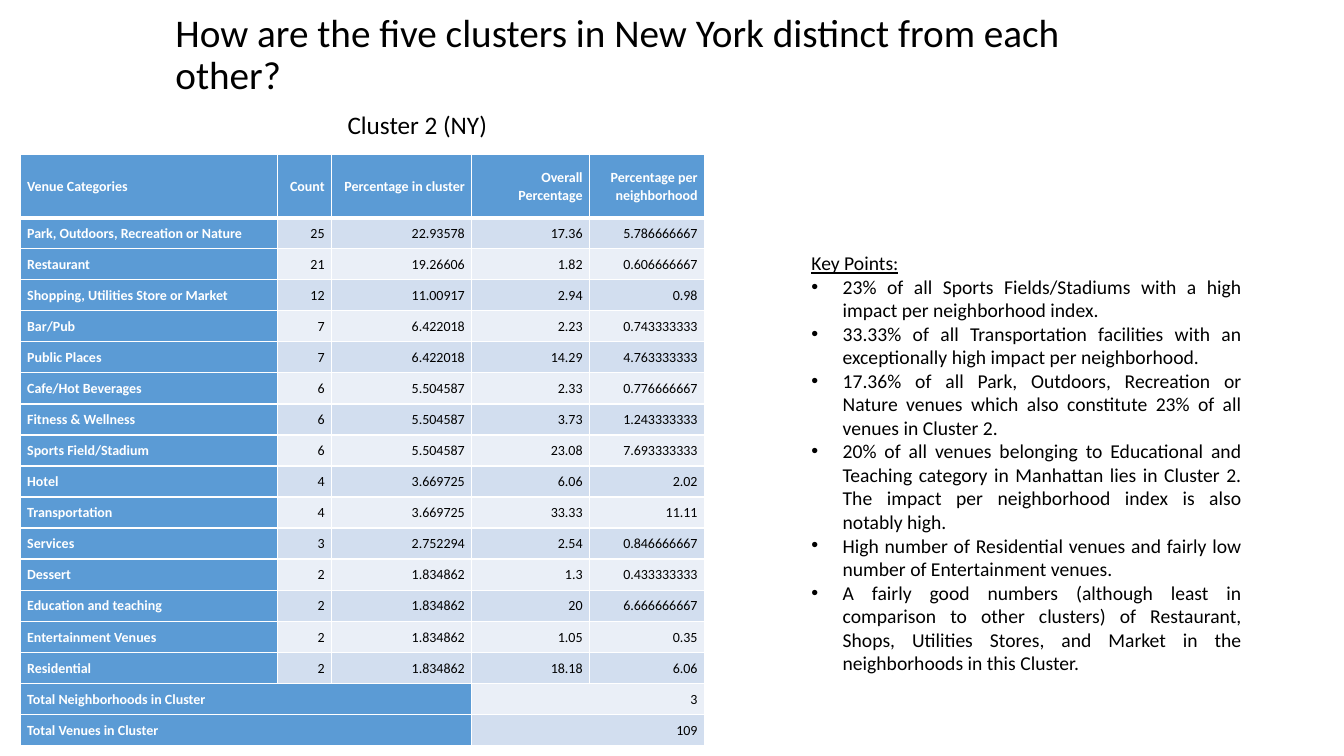
"""Build the slide on venue categories in New York's Cluster 2."""
from lxml.etree import SubElement
from pptx import Presentation
from pptx.dml.color import RGBColor
from pptx.enum.text import MSO_ANCHOR as ANCHOR, MSO_AUTO_SIZE as FIT, PP_ALIGN as ALIGN
from pptx.oxml.ns import qn
from pptx.util import Emu, Inches, Pt

TITLE = "How are the five clusters in New York distinct from each other?"
SUBTITLE = "Cluster 2 (NY)"
HEADER = ["Venue Categories", "Count", "Percentage in cluster",
          "Overall Percentage", "Percentage per neighborhood"]
VENUES = [
    ("Park, Outdoors, Recreation or Nature", "25", "22.93578", "17.36", "5.786666667"),
    ("Restaurant", "21", "19.26606", "1.82", "0.606666667"),
    ("Shopping, Utilities Store or Market", "12", "11.00917", "2.94", "0.98"),
    ("Bar/Pub", "7", "6.422018", "2.23", "0.743333333"),
    ("Public Places", "7", "6.422018", "14.29", "4.763333333"),
    ("Cafe/Hot Beverages", "6", "5.504587", "2.33", "0.776666667"),
    ("Fitness & Wellness", "6", "5.504587", "3.73", "1.243333333"),
    ("Sports Field/Stadium", "6", "5.504587", "23.08", "7.693333333"),
    ("Hotel", "4", "3.669725", "6.06", "2.02"),
    ("Transportation", "4", "3.669725", "33.33", "11.11"),
    ("Services", "3", "2.752294", "2.54", "0.846666667"),
    ("Dessert", "2", "1.834862", "1.3", "0.433333333"),
    ("Education and teaching", "2", "1.834862", "20", "6.666666667"),
    ("Entertainment Venues", "2", "1.834862", "1.05", "0.35"),
    ("Residential", "2", "1.834862", "18.18", "6.06"),
]
TOTALS = [("Total Neighborhoods in Cluster", "3"), ("Total Venues in Cluster", "109")]
KEY_HEADING = "Key Points:"
KEY_POINTS = [
    "23% of all Sports Fields/Stadiums with a high impact per neighborhood index.",
    "33.33% of all Transportation facilities with an exceptionally high impact per neighborhood.",
    "17.36% of all Park, Outdoors, Recreation or Nature venues which also constitute 23% of all "
    "venues in Cluster 2.",
    "20% of all venues belonging to Educational and Teaching category in Manhattan lies in "
    "Cluster 2. The impact per neighborhood index is also notably high.",
    "High number of Residential venues and fairly low number of Entertainment venues.",
    "A fairly good numbers (although least in comparison to other clusters) of Restaurant, Shops, "
    "Utilities Stores, and Market in the neighborhoods in this Cluster.",
]
COLORS = {"text": "000000", "white": "FFFFFF", "head": "5B9BD5",
          "odd": "D2DEEF", "even": "EAEFF7"}
BOXES = {"title": (1.64, 0.27, 10.06, 0.57), "table": (0.2, 1.53, 6.79, 5.87),
         "subtitle": (3.35, 1.04, 1.6, 0.4), "points": (7.45, 2.44, 4.97, 4.64)}
COL_WIDTHS = [2.55, 0.54, 1.39, 1.17, 1.14]
HEADER_HEIGHT = 0.63
CELL_FORMAT = {"vertical_anchor": ANCHOR.MIDDLE, "margin_left": Inches(0.07),
               "margin_right": Inches(0.07), "margin_top": 0, "margin_bottom": 0}


def apply(target, values):
    for name, value in values.items():
        setattr(target, name, value)


def box(name):
    return [Inches(v) for v in BOXES[name]]


def place(sp, name):
    apply(sp, dict(zip(("left", "top", "width", "height"), box(name))))


def write(p, text, size, color="text", para=None, **font):
    apply(p, para or {})
    r = p.add_run()
    r.text = text
    apply(r.font, {"size": Pt(size), "name": "Calibri", **font})
    r.font.color.rgb = RGBColor.from_string(COLORS[color])


def border(cell, side, points):
    ln = SubElement(cell._tc.get_or_add_tcPr(), qn(f"a:{side}"), w=str(Pt(points)))
    SubElement(SubElement(ln, qn("a:solidFill")), qn("a:srgbClr"), val=COLORS["white"])


def fill_cell(cell, text, row, col):
    label = row == 0 or col == 0
    apply(cell, CELL_FORMAT)
    for side in ("lnL", "lnR", "lnT", "lnB"):
        border(cell, side, 3 if (row, side) in ((0, "lnB"), (1, "lnT")) else 1)
    cell.fill.solid()
    fill = "head" if label else "odd" if row % 2 else "even"
    cell.fill.fore_color.rgb = RGBColor.from_string(COLORS[fill])
    write(cell.text_frame.paragraphs[0], text, 10, "white" if label else "text",
          {"alignment": ALIGN.RIGHT if col else ALIGN.LEFT, "line_spacing": 1.07}, bold=label)


def add_venue_table(slide):
    body = [HEADER, *VENUES]
    rows = len(body) + len(TOTALS)
    table = slide.shapes.add_table(rows, len(HEADER), *box("table")).table
    for column, width in zip(table.columns, COL_WIDTHS):
        column.width = Inches(width)
    row_height = (BOXES["table"][3] - HEADER_HEIGHT) / (rows - 1)
    for i, row in enumerate(table.rows):
        row.height = Inches(row_height if i else HEADER_HEIGHT)
    for i, values in enumerate(body):
        for j, text in enumerate(values):
            fill_cell(table.cell(i, j), text, i, j)
    for i, values in enumerate(TOTALS, len(body)):
        for (first, last), text in zip(((0, 2), (3, 4)), values):
            table.cell(i, first).merge(table.cell(i, last))
            fill_cell(table.cell(i, first), text, i, first)


def add_key_points(sp):
    place(sp, "points")
    tf = sp.text_frame
    apply(tf, {"word_wrap": True, "auto_size": FIT.NONE, "vertical_anchor": ANCHOR.TOP})
    for i, text in enumerate([KEY_HEADING, *KEY_POINTS]):
        p = tf.add_paragraph() if i else tf.paragraphs[0]
        write(p, text, 14, para={"level": 1, "space_before": Pt(0), "line_spacing": 1.0,
                                 "alignment": ALIGN.JUSTIFY if i else ALIGN.LEFT},
              underline=i == 0)
        pPr = p._p.get_or_add_pPr()
        pPr.set("marL", str(Inches(0.81 if i else 0.5)))
        pPr.set("indent", str(Inches(-0.31 if i else 0)))
        if i:
            SubElement(pPr, qn("a:buFont"), typeface="Arial")
            SubElement(pPr, qn("a:buChar"), char="•")
        else:
            SubElement(pPr, qn("a:buNone"))


def main():
    prs = Presentation()
    apply(prs, {"slide_width": Emu(12192000), "slide_height": Inches(7.5)})
    slide = prs.slides.add_slide(prs.slide_layouts[1])

    title = slide.shapes.title
    place(title, "title")
    apply(title.text_frame, {"word_wrap": True, "auto_size": FIT.NONE,
                             "vertical_anchor": ANCHOR.MIDDLE})
    write(title.text_frame.paragraphs[0], TITLE, 28,
          para={"alignment": ALIGN.LEFT, "line_spacing": 0.9})

    add_venue_table(slide)
    subtitle = slide.shapes.add_textbox(*box("subtitle"))
    apply(subtitle.text_frame, {"word_wrap": False, "auto_size": FIT.SHAPE_TO_FIT_TEXT})
    write(subtitle.text_frame.paragraphs[0], SUBTITLE, 18)
    add_key_points(slide.placeholders[1])
    prs.save("out.pptx")


if __name__ == "__main__":
    main()
